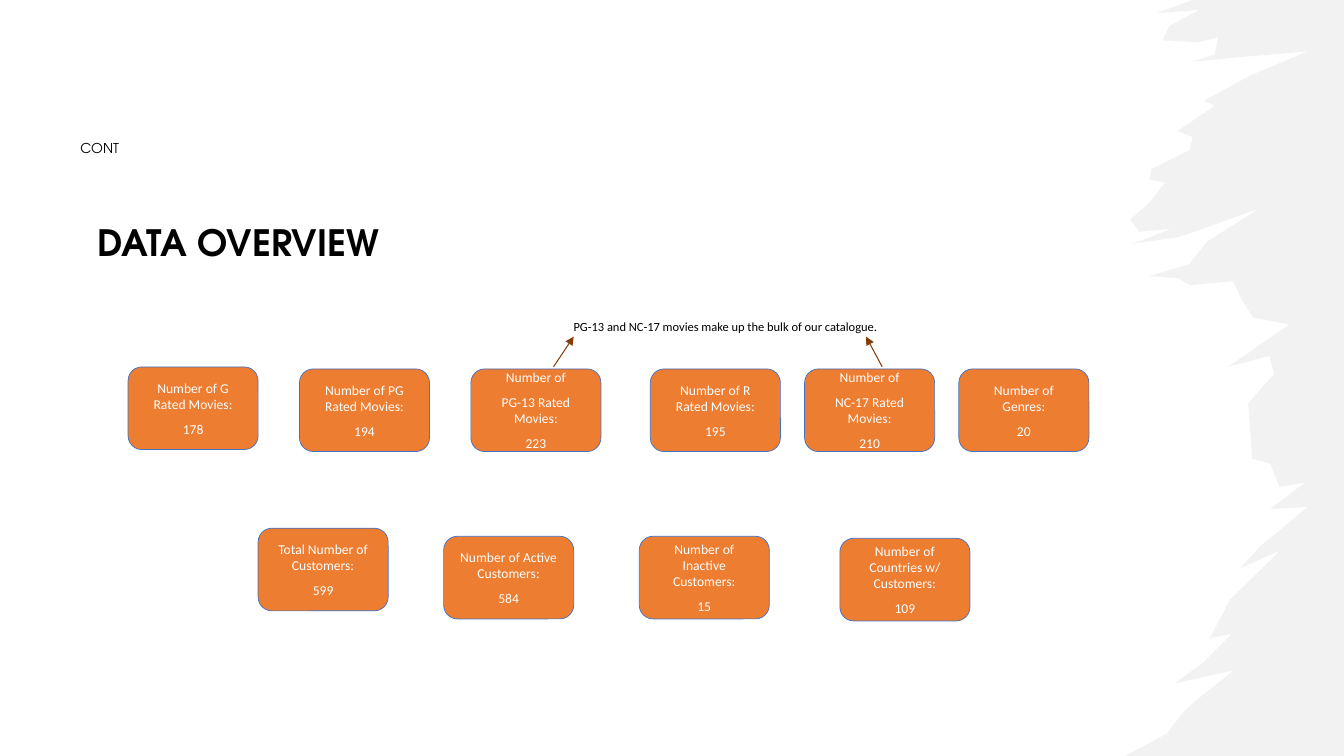
from dataclasses import dataclass

from lxml import etree
from pptx import Presentation
from pptx.dml.color import RGBColor
from pptx.enum.shapes import MSO_CONNECTOR, MSO_SHAPE
from pptx.enum.text import MSO_ANCHOR, MSO_AUTO_SIZE, PP_ALIGN
from pptx.oxml.ns import qn
from pptx.slide import Slide
from pptx.text.text import TextFrame
from pptx.util import Inches, Pt

HEADING_FONT = "TeX Gyre Adventor"
BODY_FONT = "Calibri"
PAGE_WIDTH, PAGE_HEIGHT = 13.33, 7.5
CARD_WIDTH, CARD_HEIGHT = 1.29, 0.82

Point = tuple[float, float]

BRUSH_EDGE: tuple[Point, ...] = (
    (11.83, 0), (11.48, 0.13), (11.89, 0.1), (11.6, 0.26), (11.53, 0.4), (11.89, 0.42),
    (12.08, 0.37), (12.05, 0.54), (11.84, 0.61), (12.27, 0.57), (12.97, 0.51),
    (12.4, 0.75), (11.94, 1), (12.05, 1.05), (11.68, 1.3), (11.83, 1.36), (11.8, 1.49),
    (11.42, 1.68), (11.4, 1.78), (11.56, 1.81), (11.39, 2.02), (11.21, 2.18),
    (11.3, 2.3), (11.62, 2.27), (11.23, 2.42), (11.7, 2.35), (12.49, 2.07),
    (11.97, 2.4), (11.8, 2.62), (11.4, 2.74), (11.69, 2.76), (11.8, 2.83),
    (12.23, 2.79), (12.32, 2.98), (12.43, 3.15), (12.79, 3.22), (12.18, 3.64),
    (12.59, 3.53), (12.64, 3.71), (12.38, 4), (12.42, 4.55), (12.6, 4.6),
    (12.69, 4.83), (12.94, 4.79), (12.6, 5.05), (12.97, 5.03), (12.5, 5.42),
    (12.3, 5.64), (12.7, 5.46), (12.2, 5.95), (12, 6.33), (12.22, 6.29), (11.94, 6.57),
    (11.65, 6.78), (12.24, 6.65), (11.85, 6.96), (11.75, 7.05), (11.57, 7.28),
    (11.16, 7.5),
)


@dataclass(frozen=True)
class Card:
    left: float
    top: float
    text: str


@dataclass(frozen=True)
class Label:
    left: float
    top: float
    width: float
    height: float
    text: str
    font: str
    size: float
    bold: bool = False


@dataclass(frozen=True)
class Arrow:
    start: Point
    end: Point


CARDS = (
    Card(1.27, 3.64, "Number of G Rated Movies:\n178"),
    Card(2.97, 3.66, "Number of PG Rated Movies:\n194"),
    Card(4.67, 3.66, "Number of\nPG-13 Rated Movies:\n223"),
    Card(6.45, 3.66, "Number of R Rated Movies:\n195"),
    Card(7.98, 3.66, "Number of\nNC-17 Rated Movies:\n210"),
    Card(9.51, 3.66, "Number of Genres:\n20"),
    Card(2.56, 5.24, "Total Number of Customers:\n599"),
    Card(4.4, 5.32, "Number of Active Customers:\n584"),
    Card(6.34, 5.32, "Number of Inactive Customers:\n15"),
    Card(8.33, 5.34, "Number of Countries w/ Customers:\n109"),
)
LABELS = (
    Label(0.87, 2.14, 3.87, 0.54, "DATA OVERVIEW", HEADING_FONT, 25.9, True),
    Label(0.7, 1.34, 1.33, 0.26, "CONT", HEADING_FONT, 9.7),
    Label(5.59, 3.12, 3.28, 0.25,
          "PG-13 and NC-17 movies make up the bulk of our catalogue.", BODY_FONT, 8.9),
)
ARROWS = (Arrow((5.49, 3.64), (5.69, 3.34)), Arrow((8.75, 3.64), (8.59, 3.34)))


def color(value: str) -> RGBColor:
    return RGBColor.from_string(value)


def write_text(frame: TextFrame, text: str, font: str, size: float, ink: str,
               bold: bool = False, align: PP_ALIGN = PP_ALIGN.LEFT) -> None:
    frame.word_wrap = True
    frame.text = text
    for para in frame.paragraphs:
        para.alignment = align
        para.space_after = Pt(6)
        for span in para.runs:
            span.font.name = font
            span.font.size = Pt(size)
            span.font.bold = bold
            span.font.color.rgb = color(ink)


def draw_brush(page: Slide) -> None:
    corner = (PAGE_WIDTH, PAGE_HEIGHT)
    outline = [(Inches(x), Inches(y)) for x, y in (*BRUSH_EDGE, corner)]
    builder = page.shapes.build_freeform(Inches(PAGE_WIDTH), 0)
    builder.add_line_segments(outline, close=True)
    brush = builder.convert_to_shape()
    brush.shadow.inherit = False
    brush.line.fill.background()
    brush.fill.solid()
    brush.fill.fore_color.rgb = color("E7E6E6")
    tint = brush._element.spPr.find(qn("a:solidFill")).find(qn("a:srgbClr"))
    etree.SubElement(tint, qn("a:alpha"), val="50000")


def draw_card(page: Slide, card: Card) -> None:
    box = page.shapes.add_shape(MSO_SHAPE.ROUNDED_RECTANGLE, Inches(card.left), Inches(card.top),
                                Inches(CARD_WIDTH), Inches(CARD_HEIGHT))
    box.shadow.inherit = False
    box.fill.solid()
    box.fill.fore_color.rgb = color("ED7D31")
    box.line.color.rgb = color("4472C4")
    box.line.width = Pt(0.5)
    box.text_frame.vertical_anchor = MSO_ANCHOR.MIDDLE
    write_text(box.text_frame, card.text, BODY_FONT, 9.7, "FFFFFF", align=PP_ALIGN.CENTER)


def draw_label(page: Slide, label: Label) -> None:
    box = page.shapes.add_textbox(Inches(label.left), Inches(label.top),
                                  Inches(label.width), Inches(label.height))
    write_text(box.text_frame, label.text, label.font, label.size, "000000", label.bold)
    box.text_frame.auto_size = MSO_AUTO_SIZE.SHAPE_TO_FIT_TEXT


def draw_arrow(page: Slide, arrow: Arrow) -> None:
    ends = [Inches(value) for value in arrow.start + arrow.end]
    connector = page.shapes.add_connector(MSO_CONNECTOR.STRAIGHT, *ends)
    connector.line.color.rgb = color("843C0B")
    connector.line.width = Pt(0.75)
    outline = connector._element.spPr.find(qn("a:ln"))
    etree.SubElement(outline, qn("a:tailEnd"), type="triangle")
    etree.SubElement(connector._element.spPr, qn("a:effectLst"))


def main() -> None:
    deck = Presentation()
    deck.slide_width, deck.slide_height = Inches(PAGE_WIDTH), Inches(PAGE_HEIGHT)
    page = deck.slides.add_slide(deck.slide_layouts[6])
    draw_brush(page)
    for label in LABELS:
        draw_label(page, label)
    for card in CARDS:
        draw_card(page, card)
    for arrow in ARROWS:
        draw_arrow(page, arrow)
    deck.save("out.pptx")


if __name__ == "__main__":
    main()
